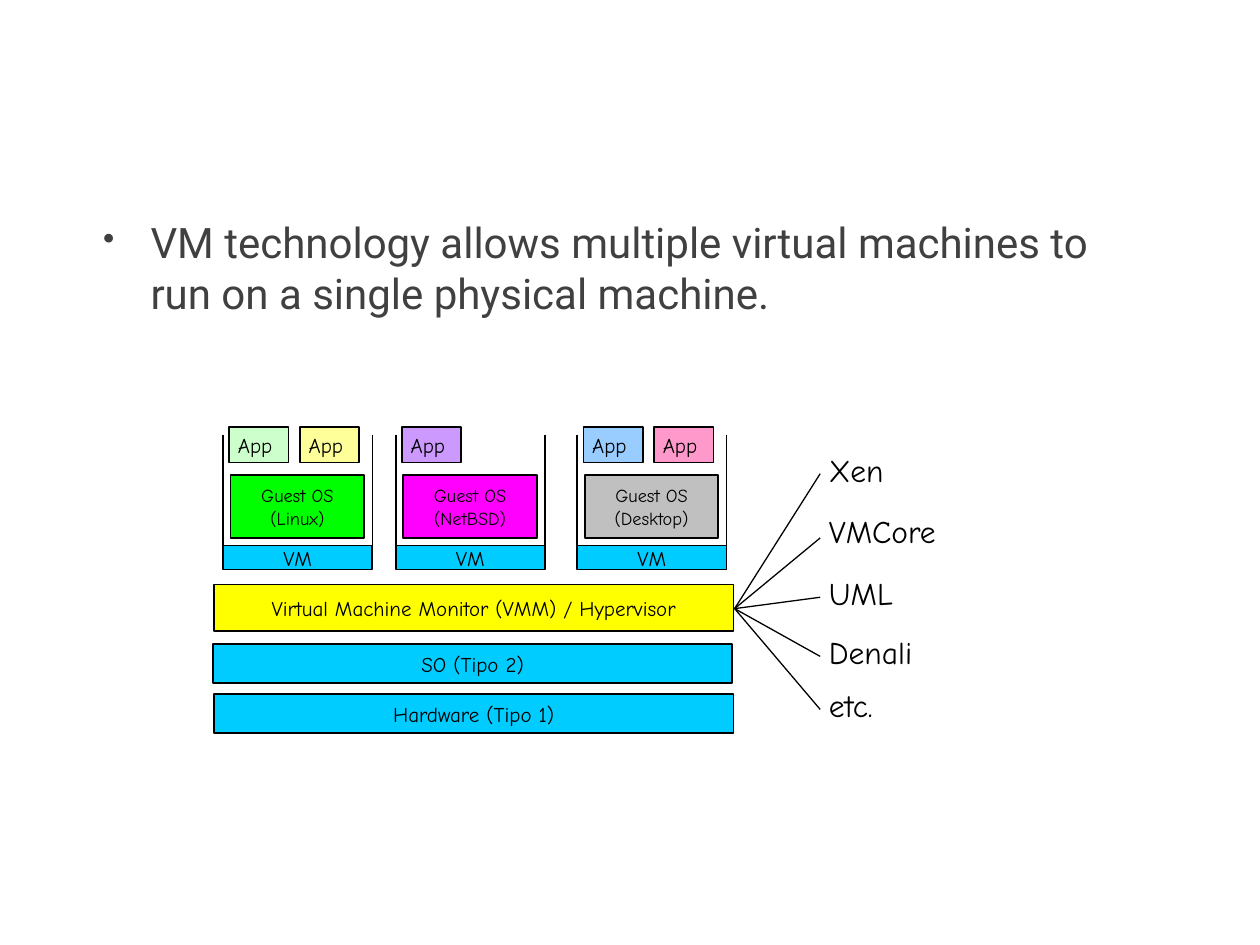
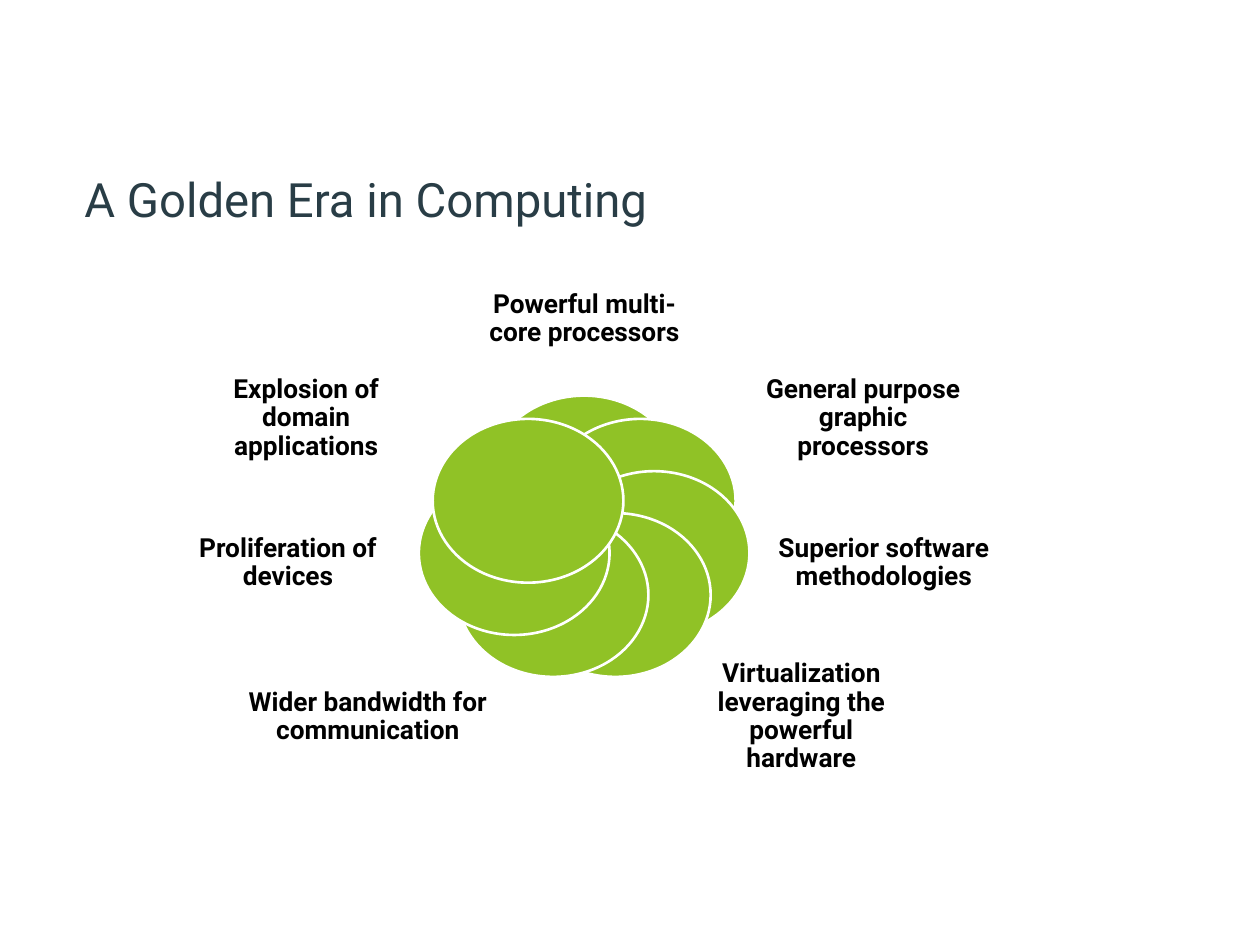
"""Build two slides: a virtual machine stack and the drivers of modern computing."""
from math import cos, pi, sin

from lxml import etree
from pptx import Presentation
from pptx.dml.color import RGBColor
from pptx.enum.shapes import MSO_CONNECTOR, MSO_SHAPE
from pptx.enum.text import MSO_ANCHOR, PP_ALIGN
from pptx.oxml.ns import qn
from pptx.util import Pt

RECT, OVAL, STRAIGHT = MSO_SHAPE.RECTANGLE, MSO_SHAPE.OVAL, MSO_CONNECTOR.STRAIGHT
LEFT, CENTER = PP_ALIGN.LEFT, PP_ALIGN.CENTER
TOP, MIDDLE = MSO_ANCHOR.TOP, MSO_ANCHOR.MIDDLE
BODY_FONT, DIAGRAM_FONT = "Roboto", "Comic Neue"
INSETS = (5, 2.9)

C = {
    "black": "000000", "white": "FFFFFF", "body": "404040", "title": "293D46",
    "cyan": "00CCFF", "yellow": "FFFF00", "green": "00FF00", "magenta": "FF00FF",
    "gray": "C0C0C0", "mint": "CCFFCC", "cream": "FFFF99", "lilac": "CC99FF",
    "sky": "99CCFF", "pink": "FF99CC", "petal": "90C226",
}

INTRO = "VM technology allows multiple virtual machines to run on a single physical machine."
LAYERS = [
    ("Virtual Machine Monitor (VMM) / Hypervisor", "yellow", 122.4, 334.1, 26.6),
    ("SO (Tipo 2)", "cyan", 121.7, 367.9, 22.3),
    ("Hardware (Tipo 1)", "cyan", 122.4, 396.7, 22.3),
]
MACHINES = [
    (127.4, "Linux", "green", ["mint", "cream"]),
    (226.1, "NetBSD", "magenta", ["lilac"]),
    (329.8, "Desktop", "gray", ["sky", "pink"]),
]
HYPERVISORS = [
    ("Xen", 257, 270.7), ("VMCore", 292.3, 307.4), ("UML", 327.6, 341.3),
    ("Denali", 361.4, 375.1), ("etc.", 391.7, 405.4),
]
TITLE = "A Golden Era in Computing"
DRIVERS = [
    ("Powerful multi-core processors", 271.4, 153.4, 125.3, 57.6),
    ("General purpose graphic processors", 434.2, 207.4, 118.1, 63.4),
    ("Superior software methodologies", 430.6, 288, 149, 67.7),
    ("Virtualization leveraging the powerful hardware", 395.3, 378.7, 125.3, 61.9),
    ("Wider bandwidth for communication", 126.7, 378.7, 167, 61.9),
    ("Proliferation of devices", 106.6, 288, 115.9, 67.7),
    ("Explosion of domain applications", 121, 207.4, 108, 63.4),
]


def rgb(name):
    return RGBColor.from_string(C[name])


def write(sp, text, *, size, font=BODY_FONT, color="black", bold=False, align=LEFT,
          anchor=TOP, spacing=None, wrap=True, insets=INSETS, bullet=False):
    tf = sp.text_frame
    tf.word_wrap, tf.vertical_anchor = wrap, anchor
    tf.margin_left = tf.margin_right = Pt(insets[0])
    tf.margin_top = tf.margin_bottom = Pt(insets[1])
    for i, line in enumerate(text.split("\n")):
        p = tf.add_paragraph() if i else tf.paragraphs[0]
        p.alignment = align
        if spacing:
            p.line_spacing = spacing
        if bullet:
            pPr = p._p.get_or_add_pPr()
            pPr.set("marL", str(Pt(27)))
            pPr.set("indent", str(-Pt(27)))
            etree.SubElement(pPr, qn("a:buSzPct")).set("val", "80000")
            etree.SubElement(pPr, qn("a:buChar")).set("char", "•")
        r = p.add_run()
        r.text = line
        r.font.name, r.font.size, r.font.bold = font, Pt(size), bold
        r.font.color.rgb = rgb(color)


def text_box(s, text, x, y, w, h, **style):
    write(s.shapes.add_textbox(Pt(x), Pt(y), Pt(w), Pt(h)), text, **style)


def shape(s, kind, x, y, w, h, fill, line="black", width=1):
    sp = s.shapes.add_shape(kind, Pt(x), Pt(y), Pt(w), Pt(h))
    sp.shadow.inherit = False
    sp.fill.solid()
    sp.fill.fore_color.rgb = rgb(fill)
    sp.line.color.rgb = rgb(line)
    sp.line.width = Pt(width)
    return sp


def block(s, text, x, y, w, h, fill, size=12, align=CENTER, anchor=MIDDLE):
    write(shape(s, RECT, x, y, w, h, fill), text, size=size, font=DIAGRAM_FONT,
          align=align, anchor=anchor, spacing=1.02, wrap=False)


def line(s, x1, y1, x2, y2, width=1):
    cn = s.shapes.add_connector(STRAIGHT, Pt(x1), Pt(y1), Pt(x2), Pt(y2))
    cn.line.color.rgb = rgb("black")
    cn.line.width = Pt(width)
    etree.SubElement(cn._element.spPr, qn("a:effectLst"))


def virtual_machine(s, x, system, fill, apps):
    width, top, bottom = 85.4, 248.4, 325.4
    for wall in (x, x + width):
        line(s, wall, top, wall, bottom)
    block(s, "VM", x, 311.7, width, 13.7, "cyan")
    block(s, f"Guest OS\n({system})", x + 4.4, 271.4, 76.3, 36, fill, size=10.5)
    for i, app_fill in enumerate(apps):
        block(s, "App", x + 3.6 + 40.4 * i, 244.1, 33.9, 20.2, app_fill,
              align=LEFT, anchor=TOP)


def stack_slide(s):
    text_box(s, INTRO, 54, 121, 582.5, 328.3, size=24, color="body", bullet=True)
    for text, fill, x, y, h in LAYERS:
        block(s, text, x, y, 296.8, h, fill)
    for machine in MACHINES:
        virtual_machine(s, *machine)
    for name, y, line_end in HYPERVISORS:
        text_box(s, name, 468.7, y, 141.8, 27.4, size=18, font=DIAGRAM_FONT, spacing=0.9)
        line(s, 419.8, 347.8, 468.7, line_end, width=0.75)


def drivers_slide(s):
    text_box(s, TITLE, 43.2, 94.3, 581.8, 67.7, size=27, color="title")
    center_x, center_y, radius_x, radius_y = 333.8, 308.2, 41, 35.3
    petal_w, petal_h = 109, 93.6
    for i, (text, *place) in enumerate(DRIVERS):
        angle = 2 * pi * i / len(DRIVERS)
        x = center_x + radius_x * sin(angle) - petal_w / 2
        y = center_y - radius_y * cos(angle) - petal_h / 2
        shape(s, OVAL, x, y, petal_w, petal_h, "petal", line="white", width=1.5)
        text_box(s, text, *place, size=15, bold=True, align=CENTER, anchor=MIDDLE,
                 spacing=0.9, insets=(0, 0))


def main():
    prs = Presentation()
    prs.slide_width, prs.slide_height = Pt(720), Pt(540)
    for build in (stack_slide, drivers_slide):
        build(prs.slides.add_slide(prs.slide_layouts[6]))
    prs.save("out.pptx")


if __name__ == "__main__":
    main()
